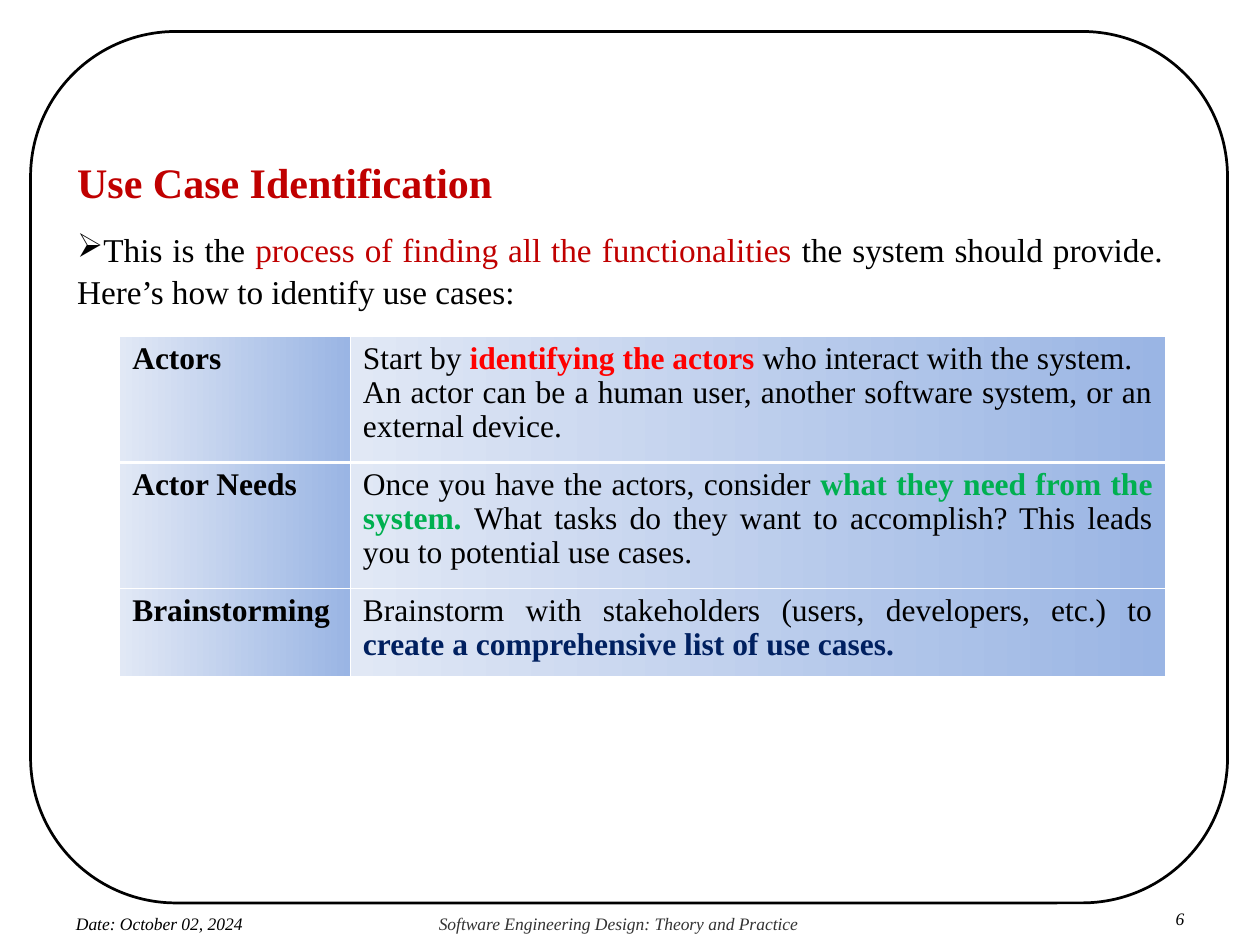
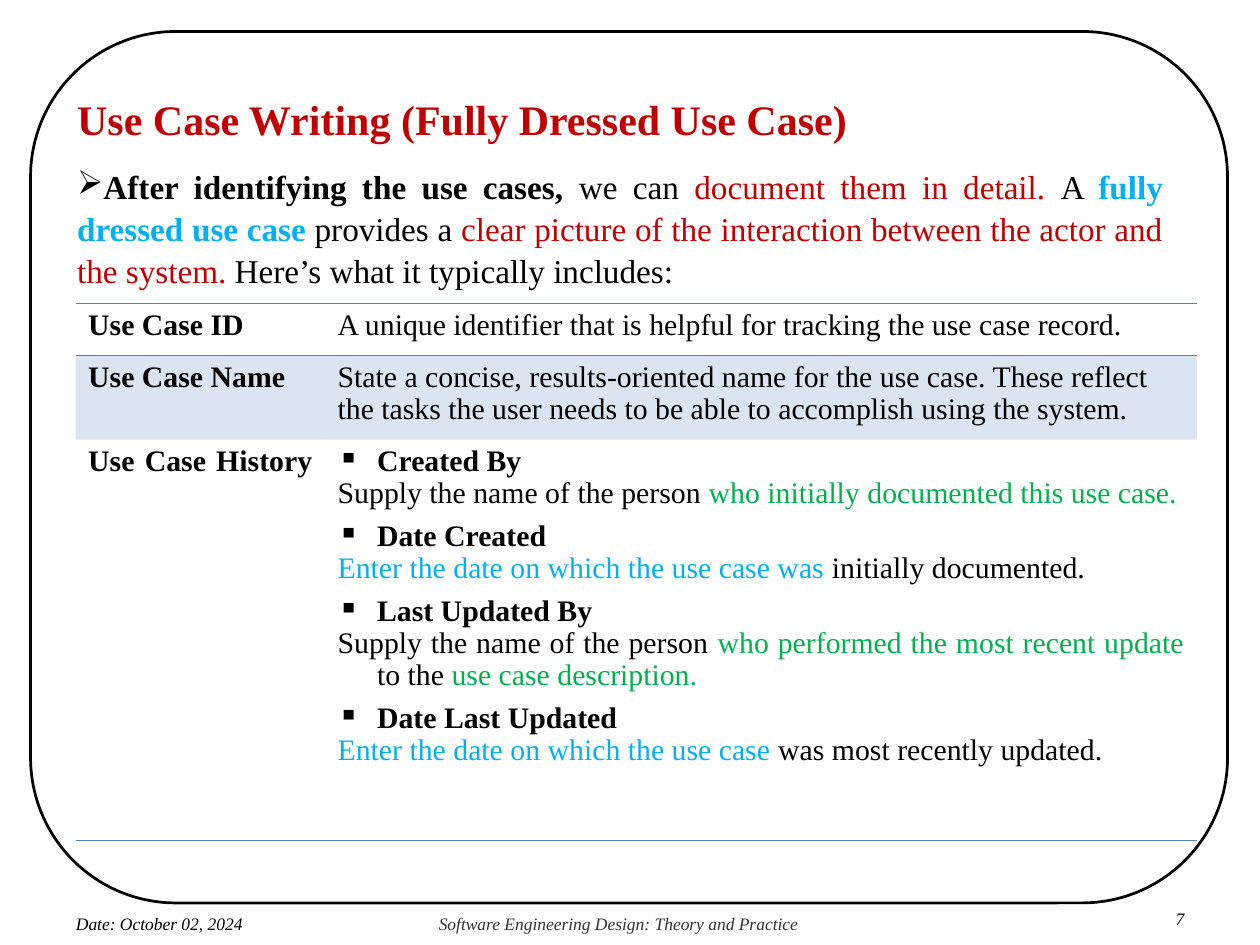
import pptx
import pptx.util
import pptx.dml.color
import pptx.enum.shapes
import pptx.enum.text
import pptx.oxml
import pptx.oxml.ns
from lxml import etree

Pt = pptx.util.Pt
RGBColor = pptx.dml.color.RGBColor
LEFT = pptx.enum.text.PP_ALIGN.LEFT
JUSTIFY = pptx.enum.text.PP_ALIGN.JUSTIFY

FONT = "Times New Roman"
BLACK = RGBColor(0x00, 0x00, 0x00)
WHITE = RGBColor(0xFF, 0xFF, 0xFF)
GREY = RGBColor(0x33, 0x33, 0x33)
DARK_RED = RGBColor(0xC0, 0x00, 0x00)
RED = RGBColor(0xFF, 0x00, 0x00)
GREEN = RGBColor(0x00, 0xB0, 0x50)
SKY = RGBColor(0x00, 0xB0, 0xF0)
NAVY = RGBColor(0x00, 0x20, 0x60)
BLUE = RGBColor(0x4F, 0x81, 0xBD)
GRADIENT = [RGBColor(0x9A, 0xB5, 0xE4), RGBColor(0xE1, 0xE8, 0xF5)]
NO_TABLE_STYLE = "{2D5ABB26-0587-4C30-8999-92F81FD0307C}"


def add_text(frame, text, size=19, color=BLACK, bold=False, italic=False, align=LEFT,
             line_spacing=None, before=0, after=0, margin=0, indent=0, bullet=None):
    """Add a paragraph; text is a string or a list of (text, color, bold) spans."""
    first = frame.paragraphs[0]
    para = frame.add_paragraph() if first.runs else first
    para.alignment = align
    para.line_spacing = line_spacing
    para.space_before, para.space_after = Pt(before), Pt(after)
    properties = para._p.get_or_add_pPr()
    properties.set("marL", str(Pt(margin)))
    properties.set("indent", str(Pt(indent)))
    if bullet:
        bullet_color = etree.SubElement(properties, pptx.oxml.ns.qn("a:buClr"))
        etree.SubElement(bullet_color, pptx.oxml.ns.qn("a:srgbClr"), val=str(BLACK))
        etree.SubElement(properties, pptx.oxml.ns.qn("a:buChar"), char=bullet)
    spans = [(text, color, bold)] if isinstance(text, str) else text
    for span_text, span_color, span_bold in spans:
        span = para.add_run()
        span.text = span_text
        span.font.name, span.font.size = FONT, Pt(size)
        span.font.bold, span.font.italic = span_bold, italic
        span.font.color.rgb = span_color


def set_borders(cell, **borders):
    """Draw cell borders, each given as side=(color, width) with side L, R, T or B."""
    properties = cell._tc.get_or_add_tcPr()
    for position, side in enumerate("LRTB"):
        color, width = borders.get(side, (None, 0))
        paint = f'<a:solidFill><a:srgbClr val="{color}"/></a:solidFill>' if color else "<a:noFill/>"
        properties.insert(position, pptx.oxml.parse_xml(
            f'<a:ln{side} {pptx.oxml.ns.nsdecls("a")} w="{Pt(width)}">{paint}</a:ln{side}>'))


# Slide contents
slides = [
    {
        "number": "6",
        "title": "Use Case Identification",
        "box": (84.24, 90),
        "intro": [
            ("This is the ", BLACK, False),
            ("process of finding all the functionalities", DARK_RED, False),
            (" the system should provide. Here’s how to identify use cases:", BLACK, False),
        ],
        "table": (68.4, 192.24),
        "columns": [131.76, 465.84],
        "rows": [72, 72, 50.4],
        "size": 18,
        "label_align": LEFT,
        "cells": [
            ("Actors", [
                ([("Start by ", BLACK, False),
                  ("identifying the actors ", RED, True),
                  ("who interact with the system. ", BLACK, False)], {}),
                ("An actor can be a human user, another software system, or an external device.", {}),
            ]),
            ("Actor Needs ", [
                ([("Once you have the actors, consider ", BLACK, False),
                  ("what they need from the system. ", GREEN, True),
                  ("What tasks do they want to accomplish? This leads you to potential use cases.",
                   BLACK, False)], {}),
            ]),
            ("Brainstorming ", [
                ([("Brainstorm with stakeholders (users, developers, etc.) to ", BLACK, False),
                  ("create a comprehensive list of use cases.", NAVY, True)], {}),
            ]),
        ],
    },
    {
        "number": "7",
        "title": "Use Case Writing (Fully Dressed Use Case)",
        "box": (48.24, 112.32),
        "intro": [
            ("After identifying the use cases, ", BLACK, True),
            ("we can ", BLACK, False),
            ("document them in detail. ", DARK_RED, False),
            ("A ", BLACK, False),
            ("fully dressed use case", SKY, True),
            (" provides a ", BLACK, False),
            ("clear picture of the interaction between the actor and the system. ", DARK_RED, False),
            ("Here’s what it typically includes:", BLACK, False),
        ],
        "table": (43.2, 173.52),
        "columns": [142.56, 498.24],
        "rows": [29.52, 48.24, 228.96],
        "size": 17,
        "label_align": JUSTIFY,
        "cells": [
            ("Use Case ID", [
                ("A unique identifier that is helpful for tracking the use case record.", {}),
            ]),
            ("Use Case Name", [
                ("State a concise, results-oriented name for the use case. These reflect the tasks "
                 "the user needs to be able to accomplish using the system.", {"align": LEFT}),
            ]),
            ("Use Case History ", []),
        ],
    },
]

# Use case history: each entry is a bulleted heading over a hanging description
history = [
    ("Created By ", [("Supply the name of the person ", BLACK, False),
                     ("who initially documented this use case.", GREEN, False)]),
    ("Date Created", [("Enter the date on which the use case was ", SKY, False),
                      ("initially documented.", BLACK, False)]),
    ("Last Updated By ", [("Supply the name of the person ", BLACK, False),
                          ("who performed the most recent update ", GREEN, False),
                          ("to the ", BLACK, False),
                          ("use case description.", GREEN, False)]),
    ("Date Last Updated ", [("Enter the date on which the use case ", SKY, False),
                            ("was most recently updated.", BLACK, False)]),
]
hanging = {"margin": 22.5, "indent": -22.5}
for heading, description in history:
    slides[1]["cells"][2][1].extend([
        (heading, {"bold": True, "bullet": "▪", **hanging}),
        (description, {"after": 6, **hanging}),
    ])

deck = pptx.Presentation()
deck.slide_width, deck.slide_height = Pt(720), Pt(540)

for content in slides:
    page = deck.slides.add_slide(deck.slide_layouts[6])

    # Rounded frame
    border = page.shapes.add_shape(pptx.enum.shapes.MSO_SHAPE.ROUNDED_RECTANGLE,
                                   Pt(17.5), Pt(18), Pt(684), Pt(498))
    border.shadow.inherit = False
    border.fill.background()
    border.line.color.rgb = BLACK
    border.line.width = Pt(1.56)

    # Footer
    for text, left, top, width, margin, color in [
        ("Date: October 02, 2024", 42.5, 522, 113.76, 0.9, BLACK),
        ("Software Engineering Design: Theory and Practice", 249.84, 522, 208, 0.9, GREY),
        (content["number"], 663.84, 519.12, 17.28, 8, BLACK),
    ]:
        box = page.shapes.add_textbox(Pt(left), Pt(top), Pt(width), Pt(11.8))
        frame = box.text_frame
        frame.word_wrap = True
        frame.margin_left = frame.margin_right = frame.margin_top = frame.margin_bottom = 0
        add_text(frame, text, size=10, color=color, italic=True,
                 line_spacing=Pt(11.8), margin=margin)

    # Title and introduction
    top, height = content["box"]
    box = page.shapes.add_textbox(Pt(43.2), Pt(top), Pt(621.36), Pt(height))
    frame = box.text_frame
    frame.word_wrap = True
    frame.margin_left = frame.margin_right = frame.margin_bottom = 0
    frame.margin_top = Pt(3.6)
    body = {"align": JUSTIFY, "line_spacing": 1.05, "after": 6, "margin": 0.9}
    add_text(frame, content["title"], size=24, color=DARK_RED, bold=True, **body)
    add_text(frame, content["intro"], before=6, bullet="➢", **body)

    # Table text
    left, top = content["table"]
    columns, rows = content["columns"], content["rows"]
    table = page.shapes.add_table(len(rows), len(columns), Pt(left), Pt(top),
                                  Pt(sum(columns)), Pt(sum(rows))).table
    table.first_row = table.horz_banding = False
    table._tbl.tblPr[0].text = NO_TABLE_STYLE
    for column, width in zip(table.columns, columns):
        column.width = Pt(width)
    for row, height, (label, paragraphs) in zip(table.rows, rows, content["cells"]):
        row.height = Pt(height)
        style = {"size": content["size"], "line_spacing": 0.97}
        add_text(row.cells[0].text_frame, label, bold=True, align=content["label_align"], **style)
        for text, options in paragraphs:
            add_text(row.cells[1].text_frame, text, **{"align": JUSTIFY, **style, **options})

    # Table colours
    for index, row in enumerate(table.rows):
        for cell in row.cells:
            if content["number"] == "6":
                cell.fill.gradient()
                cell.fill.gradient_angle = 180
                for stop, color in zip(cell.fill.gradient_stops, GRADIENT):
                    stop.color.rgb = color
                thin, thick = (WHITE, 0.45), (WHITE, 1.47)
                set_borders(cell, L=thin, R=thin, T=thick if index == 1 else thin,
                            B=thick if index == 0 else thin)
            elif index == 1:
                cell.fill.solid()
                cell.fill.fore_color.rgb = BLUE
                tint = cell._tc.tcPr.find(".//" + pptx.oxml.ns.qn("a:srgbClr"))
                etree.SubElement(tint, pptx.oxml.ns.qn("a:alpha"), val="20000")
                set_borders(cell, T=(BLUE, 0.45))
            else:
                cell.fill.background()
                rule = (BLUE, 0.45)
                set_borders(cell, **({"T": rule, "B": rule} if index == 0 else {"B": rule}))

deck.save("out.pptx")
